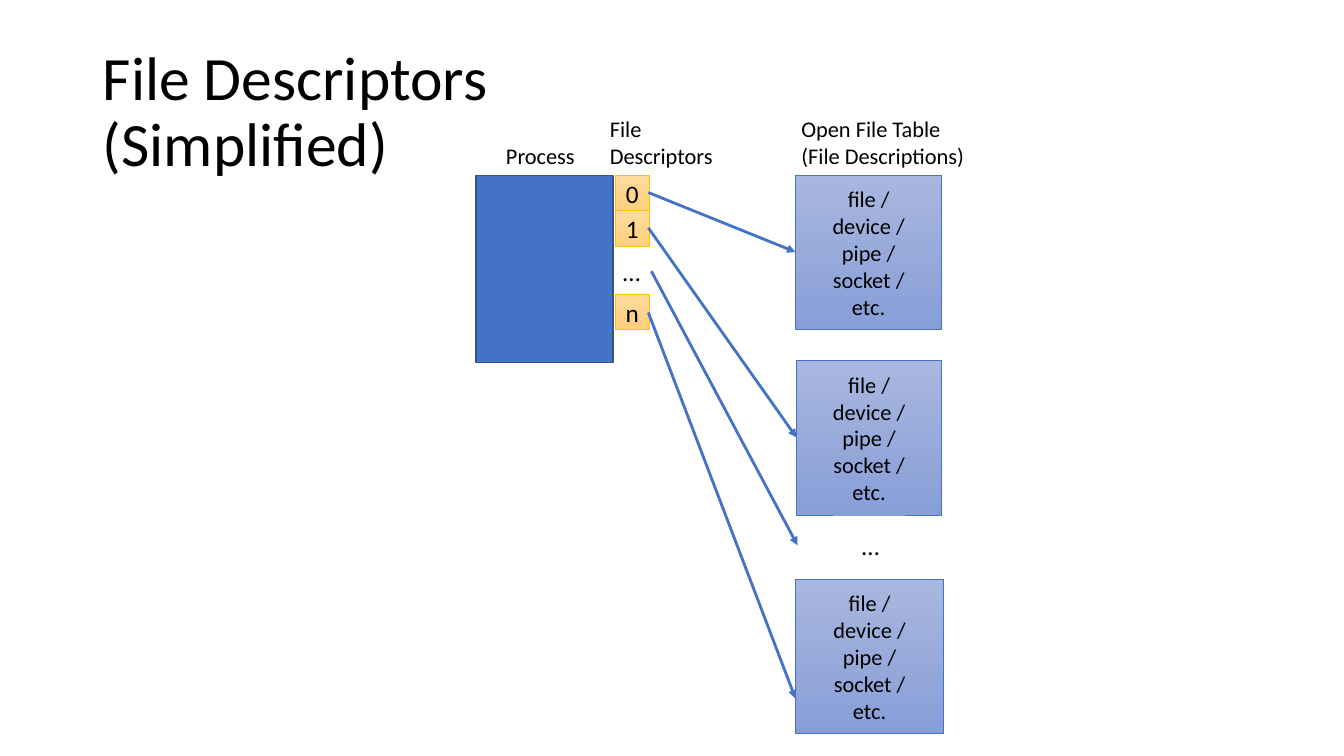
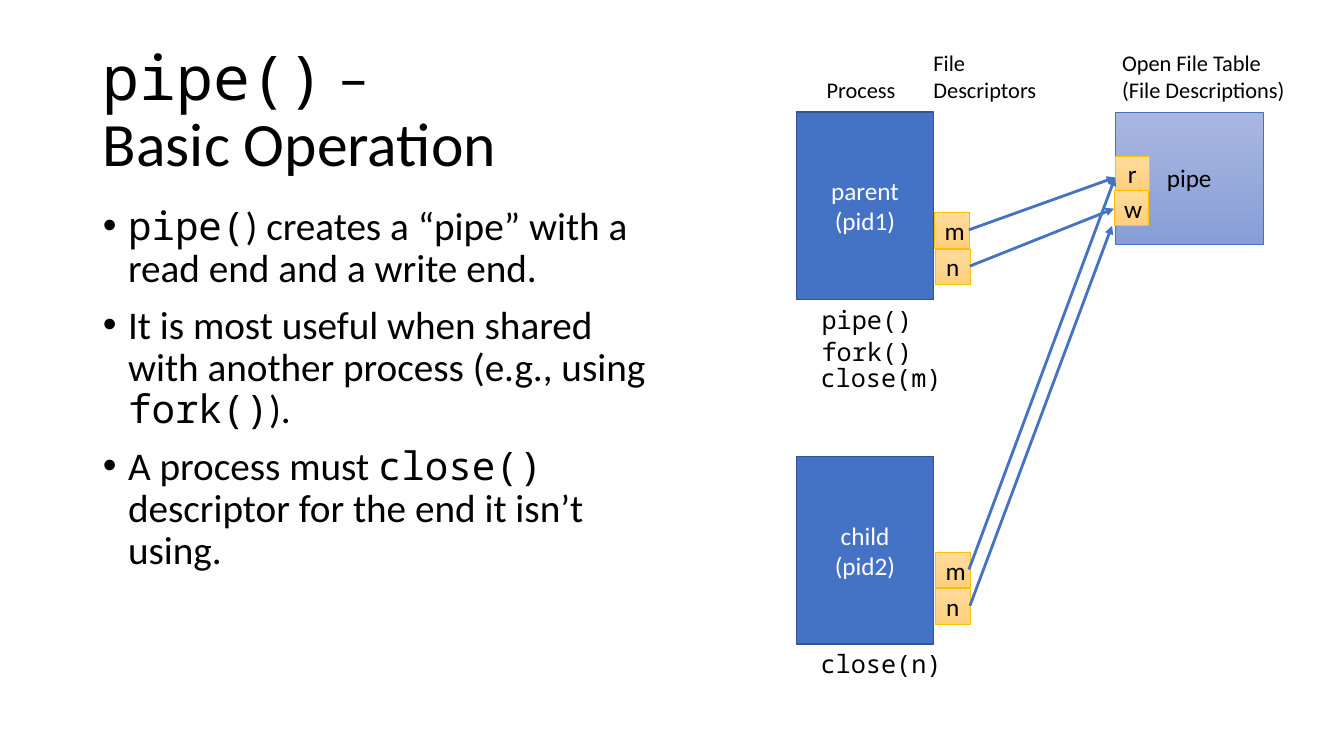
from pptx import Presentation
from pptx.dml.color import RGBColor
from pptx.enum.shapes import MSO_CONNECTOR, MSO_SHAPE
from pptx.enum.text import MSO_ANCHOR, MSO_AUTO_SIZE, PP_ALIGN
from pptx.oxml.ns import qn
from pptx.util import Inches, Pt
from lxml.etree import SubElement

BLACK = RGBColor(0x00, 0x00, 0x00)
WHITE = RGBColor(0xFF, 0xFF, 0xFF)
BLUE = RGBColor(0x44, 0x72, 0xC4)
DARK_BLUE = RGBColor(0x32, 0x54, 0x91)
GOLD = RGBColor(0xFF, 0xC0, 0x00)
GOLD_TOP = RGBColor(0xFF, 0xDB, 0x9E)
GOLD_BOTTOM = RGBColor(0xFF, 0xD0, 0x7C)
PALE_TOP = RGBColor(0xA8, 0xB7, 0xDF)
PALE_BOTTOM = RGBColor(0x88, 0x9E, 0xD7)
SANS = "Calibri"
MONO = "Noto Sans Mono"

PROCESS = ([BLUE], DARK_BLUE, 1, WHITE)
DESCRIPTOR = ([GOLD_TOP, GOLD_BOTTOM], GOLD, 0.5, BLACK)
OPEN_FILE = ([PALE_TOP, PALE_BOTTOM], BLUE, 0.5, BLACK)
CELL_W, CELL_H = 0.34, 0.35
PROCESS_W, PROCESS_H = 1.36, 1.86


def write(frame, text, size, color=BLACK, align=PP_ALIGN.LEFT):
    """Write one paragraph per line; text between backticks is set in MONO."""
    for index, line in enumerate(text.split("\n")):
        paragraph = frame.add_paragraph() if index else frame.paragraphs[0]
        paragraph.alignment = align
        for position, piece in enumerate(line.split("`")):
            for row, words in enumerate(piece.split("\v")):
                if row:
                    paragraph.add_line_break()
                if words:
                    run = paragraph.add_run()
                    run.text = words
                    run.font.name = MONO if position % 2 else SANS
                    run.font.size = Pt(size)
                    run.font.color.rgb = color


def add_box(slide, box, text, size=18, style=None, wrap=False):
    """Add a styled rectangle, or a plain label when no style is given."""
    place = [Inches(length) for length in box]
    if style is None:
        label = slide.shapes.add_textbox(*place)
        label.text_frame.word_wrap = wrap
        label.text_frame.auto_size = MSO_AUTO_SIZE.SHAPE_TO_FIT_TEXT
        write(label.text_frame, text, size)
        return
    colors, border, border_width, text_color = style
    block = slide.shapes.add_shape(MSO_SHAPE.RECTANGLE, *place)
    block.shadow.inherit = False
    if len(colors) == 1:
        block.fill.solid()
        block.fill.fore_color.rgb = colors[0]
    else:
        block.fill.gradient()
        block.fill.gradient_angle = 270
        for stop, color in zip(block.fill.gradient_stops, colors):
            stop.color.rgb = color
    block.line.color.rgb = border
    block.line.width = Pt(border_width)
    block.text_frame.word_wrap = True
    block.text_frame.vertical_anchor = MSO_ANCHOR.MIDDLE
    if text:
        write(block.text_frame, text, size, text_color, PP_ALIGN.CENTER)


prs = Presentation()
prs.slide_width, prs.slide_height = Inches(13.33), Inches(7.5)
descriptors = prs.slides.add_slide(prs.slide_layouts[5])
pipes = prs.slides.add_slide(prs.slide_layouts[1])

for slide, heading in (
    (descriptors, "File Descriptors\v(Simplified)"),
    (pipes, "`pipe()` –\vBasic Operation"),
):
    title = slide.shapes.title
    title.left, title.top = Inches(0.92), Inches(0.4)
    title.width, title.height = Inches(11.5), Inches(1.45)
    title.text_frame.auto_size = MSO_AUTO_SIZE.NONE
    title.text_frame.vertical_anchor = MSO_ANCHOR.MIDDLE
    write(title.text_frame, heading, 44)
    title.text_frame.paragraphs[0].line_spacing = 0.9

body = pipes.placeholders[1]
body.left, body.top = Inches(0.92), Inches(2)
body.width, body.height = Inches(5.67), Inches(4.76)
body.text_frame.auto_size = MSO_AUTO_SIZE.NONE
write(
    body.text_frame,
    "`pipe(`) creates a “pipe” with a read end and a write end.\n"
    "It is most useful when shared with another process (e.g., using `fork()`).\n"
    "A process must `close()` descriptor for the end it isn’t using.",
    28,
)
for index, bullet in enumerate(body.text_frame.paragraphs):
    bullet.line_spacing = 0.9
    bullet.space_before = Pt(10 if index else 0)
    properties = bullet._p.get_or_add_pPr()
    properties.set("marL", str(Inches(0.25)))
    properties.set("indent", str(Inches(-0.25)))

for slide, top, process_x, descriptor_x, table_x in (
    (descriptors, 1.09, 4.92, 5.95, 7.85),
    (pipes, 0.44, 8.1, 9.16, 11.03),
):
    add_box(slide, (process_x, top + 0.27, 0.89, 0.37), "Process", 16)
    add_box(slide, (descriptor_x, top, 1.24, 0.64), "File\nDescriptors", 16)
    add_box(slide, (table_x, top, 2.18, 0.64),
            "Open File Table\n(File Descriptions)", 16, wrap=True)

for slide, x, y, process in (
    (descriptors, 4.72, 1.74, ""),
    (pipes, 7.9, 1.11, "parent\n(pid1)"),
    (pipes, 7.9, 4.53, "child\n(pid2)"),
):
    add_box(slide, (x, y, PROCESS_W, PROCESS_H), process, style=PROCESS)

for x, y, width in ((7.89, 1.74, 1.45), (7.9, 3.58, 1.44), (7.89, 5.75, 1.47)):
    add_box(descriptors, (x, y, width, 1.53),
            "file /\ndevice /\npipe /\nsocket /\netc.", 16, OPEN_FILE)
add_box(pipes, (11.06, 1.11, 1.47, 1.31), "pipe", style=OPEN_FILE)

for x, y in ((6.08, 2.49), (8.45, 5.21)):
    add_box(descriptors, (x, y, 0.38, 0.4), "…")

for x, y, width, call in (
    (8.05, 2.97, 1.11, "pipe()"),
    (8.05, 3.29, 1.11, "fork()"),
    (8.04, 3.55, 1.41, "close(m)"),
    (8.04, 6.38, 1.41, "close(n)"),
):
    add_box(pipes, (x, y, width, 0.4), f"`{call}`")

for slide, x, y, name in (
    (descriptors, 6.1, 1.74, "0"),
    (descriptors, 6.1, 2.09, "1"),
    (descriptors, 6.1, 2.92, "n"),
    (pipes, 9.27, 2.11, "m"),
    (pipes, 9.28, 2.47, "n"),
    (pipes, 9.28, 5.48, "m"),
    (pipes, 9.28, 5.84, "n"),
    (pipes, 11.06, 1.55, "r"),
    (pipes, 11.05, 1.89, "w"),
):
    add_box(slide, (x, y, CELL_W, CELL_H), name, style=DESCRIPTOR)

for slide, *ends in (
    (descriptors, 6.43, 1.91, 7.89, 2.5),
    (descriptors, 6.43, 2.26, 7.9, 4.34),
    (descriptors, 6.46, 2.69, 7.91, 5.41),
    (descriptors, 6.43, 3.1, 7.89, 6.93),
    (pipes, 9.61, 2.28, 11.06, 1.76),
    (pipes, 9.62, 2.64, 11.05, 2.07),
    (pipes, 9.61, 5.65, 11.06, 1.76),
    (pipes, 9.62, 6.01, 11.03, 2.24),
):
    arrow = slide.shapes.add_connector(
        MSO_CONNECTOR.STRAIGHT, *[Inches(length) for length in ends])
    arrow.line.color.rgb = BLUE
    arrow.line.width = Pt(2)
    SubElement(arrow.line._get_or_add_ln(), qn("a:tailEnd"), type="triangle")
    SubElement(arrow._element.spPr, qn("a:effectLst"))

prs.save("out.pptx")
